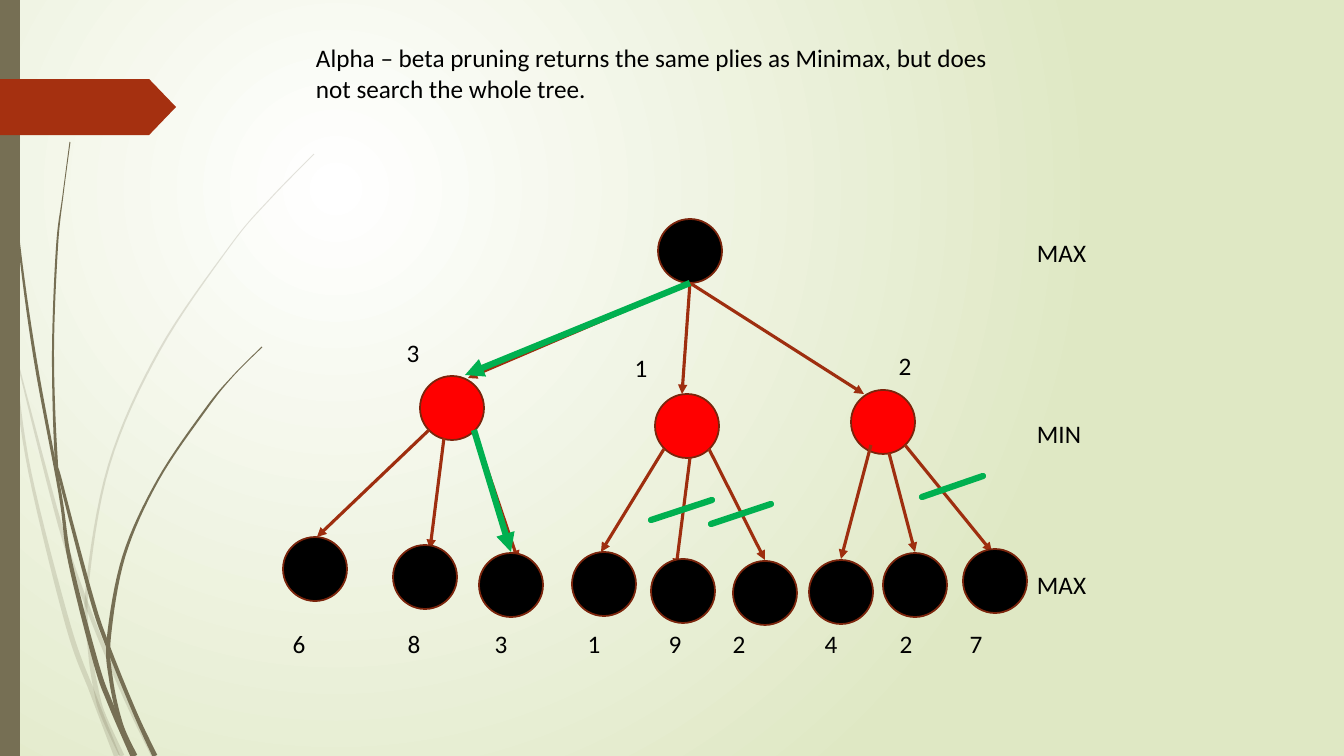
from math import hypot
from pptx import Presentation
from pptx.dml.color import RGBColor
from pptx.enum.shapes import MSO_CONNECTOR as CONN, MSO_SHAPE as SHAPE
from pptx.enum.text import MSO_ANCHOR as ANCHOR, PP_ALIGN as ALIGN
from pptx.oxml.ns import qn
from pptx.oxml.xmlchemy import OxmlElement
from pptx.util import Emu, Pt

WHITE = RGBColor(0xFF, 0xFF, 0xFF)
SAGE = RGBColor(0xDF, 0xE8, 0xC4)
OLIVE = RGBColor(0x76, 0x6F, 0x54)
RUST = RGBColor(0xA5, 0x30, 0x10)
EDGE = RGBColor(0x9E, 0x2E, 0x0F)
OUTLINE = RGBColor(0x7A, 0x24, 0x0C)
BLACK = RGBColor(0, 0, 0)
RED = RGBColor(0xFF, 0, 0)
GREEN = RGBColor(0, 0xB0, 0x50)

TITLE = ("Alpha – beta pruning returns the same plies as Minimax, "
         "but does not search the whole tree.")
LEVELS = [("MAX", 252), ("MIN", 433), ("MAX", 584)]
ROOT = (658, 219)
MIN_NODES = [(420, 376), (655, 394), (851, 390)]
LEAVES = [(283, 537), (393, 545), (479, 553), (572, 552), (651, 559),
          (733, 561), (809, 560), (883, 553), (963, 549)]
MIN_VALUES = [("3", 413, 352), ("1", 641, 367), ("2", 905, 365)]
LEAF_VALUES = [("6", 299), ("8", 414), ("3", 501), ("1", 594), ("9", 675),
               ("2", 739), ("4", 831), ("2", 906), ("7", 976)]
LEAF_VALUE_Y = 643
NODE = 64

EDGES = [
    (690, 283, 468, 378), (690, 283, 682, 394), (690, 283, 864, 394),
    (429, 430, 317, 537), (444, 438, 430, 549), (474, 430, 518, 560),
    (664, 449, 601, 552), (690, 458, 676, 568), (709, 449, 765, 560),
    (871, 445, 841, 559), (889, 453, 915, 552), (905, 445, 992, 552),
]
BEST_PATH = [(690, 283, 465, 375), (474, 430, 511, 552)]
PRUNED = [(651, 520, 712, 500), (711, 524, 771, 504), (922, 497, 983, 476)]

PALE_STEMS = [
    [(11, 353, 1), (14, 366, 3), (30, 473, 3), (68, 625, 5), (93, 694, 5), (117, 756, 6)],
    [(14, 348, 1), (60, 525, 4), (90, 613, 4), (126, 699, 4), (154, 756, 5)],
    [(314, 154, 1), (270, 199, 1), (230, 246, 1), (159, 351, 2), (109, 465, 2),
     (87, 589, 3), (90, 651, 4), (97, 694, 5), (104, 717, 5), (122, 756, 5)],
]
DARK_STEMS = [
    [(3, 0, 1), (7, 110, 2), (18, 234, 2), (35, 358, 3), (60, 493, 3),
     (70, 561, 4), (96, 663, 5), (111, 705, 5), (133, 756, 5)],
    [(70, 142, 1), (63, 195, 1), (57, 247, 2), (53, 352, 2), (56, 455, 3),
     (61, 482, 3), (91, 596, 4), (107, 644, 4), (135, 713, 4), (155, 756, 5)],
    [(262, 347, 1), (233, 376, 1), (206, 409, 2), (158, 480, 2), (124, 556, 3),
     (109, 637, 4), (111, 679, 4), (121, 724, 4), (135, 756, 5)],
]
STEPS = 8
SCALE = 914400 / 100.8


def px(v):
    return Emu(round(v * SCALE))


def child(parent, tag, **attrs):
    el = OxmlElement(tag)
    for name, value in attrs.items():
        el.set(name, value)
    parent.append(el)
    return el


def paint(sp, color, line=None):
    sp.shadow.inherit = False
    sp.fill.solid()
    sp.fill.fore_color.rgb = color
    if line is None:
        sp.line.fill.background()
    else:
        sp.line.color.rgb = line
        sp.line.width = Pt(1.25)


def shape(kind, x, y, w, h, color, line=None):
    sp = slide.shapes.add_shape(kind, px(x), px(y), px(w), px(h))
    paint(sp, color, line)
    return sp


def smooth_curve(pts):
    ends = [pts[0], *pts, pts[-1]]
    curve = []
    for a, b, c, d in zip(ends, ends[1:], ends[2:], ends[3:]):
        for i in range(STEPS):
            t = i / STEPS
            curve.append([q + (r - p) * t / 2 + (2 * p - 5 * q + 4 * r - s) * t**2 / 2
                          + (3 * q - p - 3 * r + s) * t**3 / 2
                          for p, q, r, s in zip(a, b, c, d)])
    return curve + [pts[-1]]


def stem(pts, alpha=None):
    curve = smooth_curve(pts)
    left, right = [], []
    for i, (x, y, w) in enumerate(curve):
        before, after = curve[max(i - 1, 0)], curve[min(i + 1, len(curve) - 1)]
        dx, dy = after[0] - before[0], after[1] - before[1]
        k = w / 2 / hypot(dx, dy)
        left.append((x - dy * k, y + dx * k))
        right.append((x + dy * k, y - dx * k))
    outline = left + right[::-1]
    fb = slide.shapes.build_freeform(*map(px, outline[0]), scale=1.0)
    fb.add_line_segments([(px(x), px(y)) for x, y in outline[1:]], close=True)
    sp = fb.convert_to_shape()
    paint(sp, OLIVE)
    if alpha:
        child(sp.element.spPr.find(".//" + qn("a:srgbClr")), "a:alpha", val=alpha)


def line(ends, color, width, arrow=False):
    cx = slide.shapes.add_connector(CONN.STRAIGHT, *map(px, ends))
    cx.line.color.rgb = color
    cx.line.width = Pt(width)
    ln = cx.line._get_or_add_ln()
    if arrow:
        child(ln, "a:tailEnd", type="triangle")
    else:
        ln.set("cap", "rnd")
    child(cx.element.spPr, "a:effectLst")


def label(text, x, y, w, h=40, align=ALIGN.LEFT):
    tf = slide.shapes.add_textbox(px(x), px(y), px(w), px(h)).text_frame
    tf.word_wrap = True
    tf.margin_left = tf.margin_right = px(10)
    tf.vertical_anchor = ANCHOR.MIDDLE
    p = tf.paragraphs[0]
    p.text = text
    p.alignment = align
    p.font.name = "Calibri"
    p.font.size = Pt(18)
    p.font.color.rgb = BLACK


prs = Presentation()
prs.slide_width, prs.slide_height = px(1344), px(756)
slide = prs.slides.add_slide(prs.slide_layouts[6])

fill = slide.background.fill
fill.gradient()
for stop, color in zip(fill.gradient_stops, (WHITE, SAGE)):
    stop.color.rgb = color
grad = slide.element.find(".//" + qn("a:gradFill"))
grad.remove(grad.find(qn("a:lin")))
child(child(grad, "a:path", path="circle"), "a:fillToRect",
      l="50000", t="50000", r="100000", b="100000")

for pts in PALE_STEMS:
    stem(pts, "20000")
for pts in DARK_STEMS:
    stem(pts)
shape(SHAPE.RECTANGLE, 0, 0, 20, 756, OLIVE)
shape(SHAPE.PENTAGON, 0, 79, 176, 56, RUST).adjustments[0] = 0.48

for (x, y), color in [(ROOT, BLACK), *((n, RED) for n in MIN_NODES)]:
    shape(SHAPE.OVAL, x, y, NODE, NODE, color, OUTLINE)
for ends in EDGES:
    line(ends, EDGE, 2.25, arrow=True)
for x, y in LEAVES:
    shape(SHAPE.OVAL, x, y, NODE, NODE, BLACK, OUTLINE)

for text, y in LEVELS:
    label(text, 1027, y - 20, 137)
for text, x, y in MIN_VALUES + [(v, x, LEAF_VALUE_Y) for v, x in LEAF_VALUES]:
    label(text, x - 25, y - 20, 50, align=ALIGN.CENTER)
for ends in PRUNED:
    line(ends, GREEN, 4.5)
for ends in BEST_PATH:
    line(ends, GREEN, 4.5, arrow=True)
label(TITLE, 306, 37, 721, 72)

prs.save("out.pptx")
